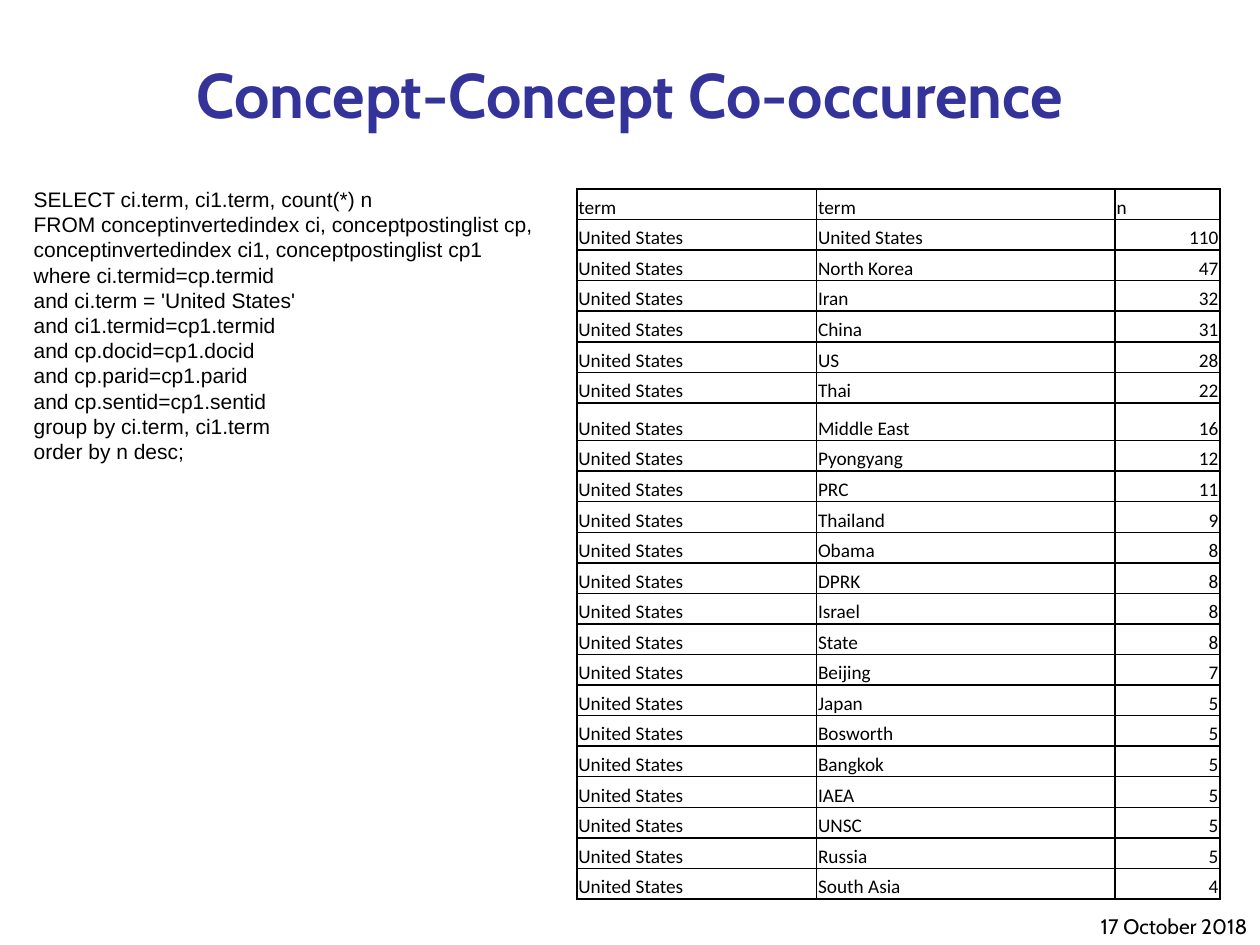
from dataclasses import dataclass

from lxml import etree
from pptx import Presentation
from pptx import util as u
from pptx.dml.color import RGBColor
from pptx.enum import text
from pptx.oxml import ns

Cm = u.Cm


@dataclass(frozen=True)
class Theme:
    ink: str = "000000"
    heading: str = "333399"
    display_font: str = "Cabin"
    query_font: str = "Arial"
    table_font: str = "Calibri"
    title_size: int = 36
    body_size: int = 12
    table_size: int = 11


T = Theme()
LEFT, CENTER, RIGHT = text.PP_ALIGN.LEFT, text.PP_ALIGN.CENTER, text.PP_ALIGN.RIGHT
TOP, MIDDLE, BOTTOM = (text.MSO_ANCHOR.TOP, text.MSO_ANCHOR.MIDDLE,
                       text.MSO_ANCHOR.BOTTOM)

QUERY = """SELECT ci.term, ci1.term, count(*) n
FROM conceptinvertedindex ci, conceptpostinglist cp,
conceptinvertedindex ci1, conceptpostinglist cp1
where ci.termid=cp.termid
and ci.term = 'United States'
and ci1.termid=cp1.termid
and cp.docid=cp1.docid
and cp.parid=cp1.parid
and cp.sentid=cp1.sentid
group by ci.term, ci1.term
order by n desc;"""

COUNTS = [
    ("United States", 110), ("North Korea", 47), ("Iran", 32), ("China", 31),
    ("US", 28), ("Thai", 22), ("Middle East", 16), ("Pyongyang", 12),
    ("PRC", 11), ("Thailand", 9), ("Obama", 8), ("DPRK", 8), ("Israel", 8),
    ("State", 8), ("Beijing", 7), ("Japan", 5), ("Bosworth", 5),
    ("Bangkok", 5), ("IAEA", 5), ("UNSC", 5), ("Russia", 5), ("South Asia", 4),
]
TALL_ROW = 7


def write(tf, content, *, font, size, color=T.ink, bold=False, align=LEFT):
    """Fill a text frame, one paragraph per line."""
    for i, line in enumerate(content.split("\n")):
        p = tf.add_paragraph() if i else tf.paragraphs[0]
        p.alignment = align
        r = p.add_run()
        r.text = line
        r.font.name, r.font.size, r.font.bold = font, u.Pt(size), bold
        r.font.color.rgb = RGBColor.from_string(color)


def add_title(s, content):
    sp = s.shapes.title
    sp.left, sp.top, sp.width, sp.height = Cm(0), Cm(1.07), Cm(25.4), Cm(1.7)
    tf = sp.text_frame
    tf.auto_size = text.MSO_AUTO_SIZE.NONE
    tf.vertical_anchor = BOTTOM
    write(tf, content, font=T.display_font, size=T.title_size,
          color=T.heading, bold=True, align=CENTER)


def add_text(s, content, box, *, anchor=TOP, wrap=True, grow=False, **style):
    tf = s.shapes.add_textbox(*map(Cm, box)).text_frame
    tf.word_wrap = wrap
    tf.vertical_anchor = anchor
    if grow:
        tf.auto_size = text.MSO_AUTO_SIZE.SHAPE_TO_FIT_TEXT
    write(tf, content, **style)


def add_borders(cell):
    tc_pr = cell._tc.get_or_add_tcPr()
    for side in ("a:lnL", "a:lnR", "a:lnT", "a:lnB"):
        ln = etree.SubElement(tc_pr, ns.qn(side), w=str(u.Pt(1)))
        fill = etree.SubElement(ln, ns.qn("a:solidFill"))
        etree.SubElement(fill, ns.qn("a:srgbClr"), val=T.ink)


def add_cell(cell, content, align):
    cell.margin_left = cell.margin_right = cell.margin_top = Cm(0.03)
    cell.margin_bottom = Cm(0)
    cell.vertical_anchor = BOTTOM
    add_borders(cell)
    cell.fill.background()
    write(cell.text_frame, content, font=T.table_font, size=T.table_size,
          align=align)


def add_count_table(s):
    rows = [("term", "term", "n")]
    rows += [("United States", term, str(n)) for term, n in COUNTS]
    widths = (4.83, 6.02, 2.11)
    height, tall = 14.33, 0.76
    table = s.shapes.add_table(len(rows), len(widths), Cm(11.63), Cm(3.81),
                               Cm(sum(widths)), Cm(height)).table
    table.first_row = table.horz_banding = False
    for col, width in zip(table.columns, widths):
        col.width = Cm(width)

    # All rows share the height evenly, apart from one taller row
    regular = (height - tall) / (len(rows) - 1)
    for i, row in enumerate(rows):
        table.rows[i].height = Cm(tall if i == TALL_ROW else regular)
        for j, value in enumerate(row):
            align = RIGHT if i and j == 2 else LEFT
            add_cell(table.cell(i, j), value, align)


def main():
    prs = Presentation()
    prs.slide_width, prs.slide_height = Cm(25.4), Cm(19.05)
    s = prs.slides.add_slide(prs.slide_layouts[5])

    # Heading
    add_title(s, "Concept-Concept Co-occurence")

    # Result table
    add_count_table(s)

    # Date
    add_text(s, "17 October 2018", (20.12, 17.98, 5.28, 1.07), anchor=BOTTOM,
             font=T.display_font, size=T.body_size, align=RIGHT)

    # Query
    add_text(s, QUERY, (0.43, 3.61, 10.77, 5.89), anchor=MIDDLE, wrap=False,
             grow=True, font=T.query_font, size=T.body_size)

    prs.save("out.pptx")


if __name__ == "__main__":
    main()
